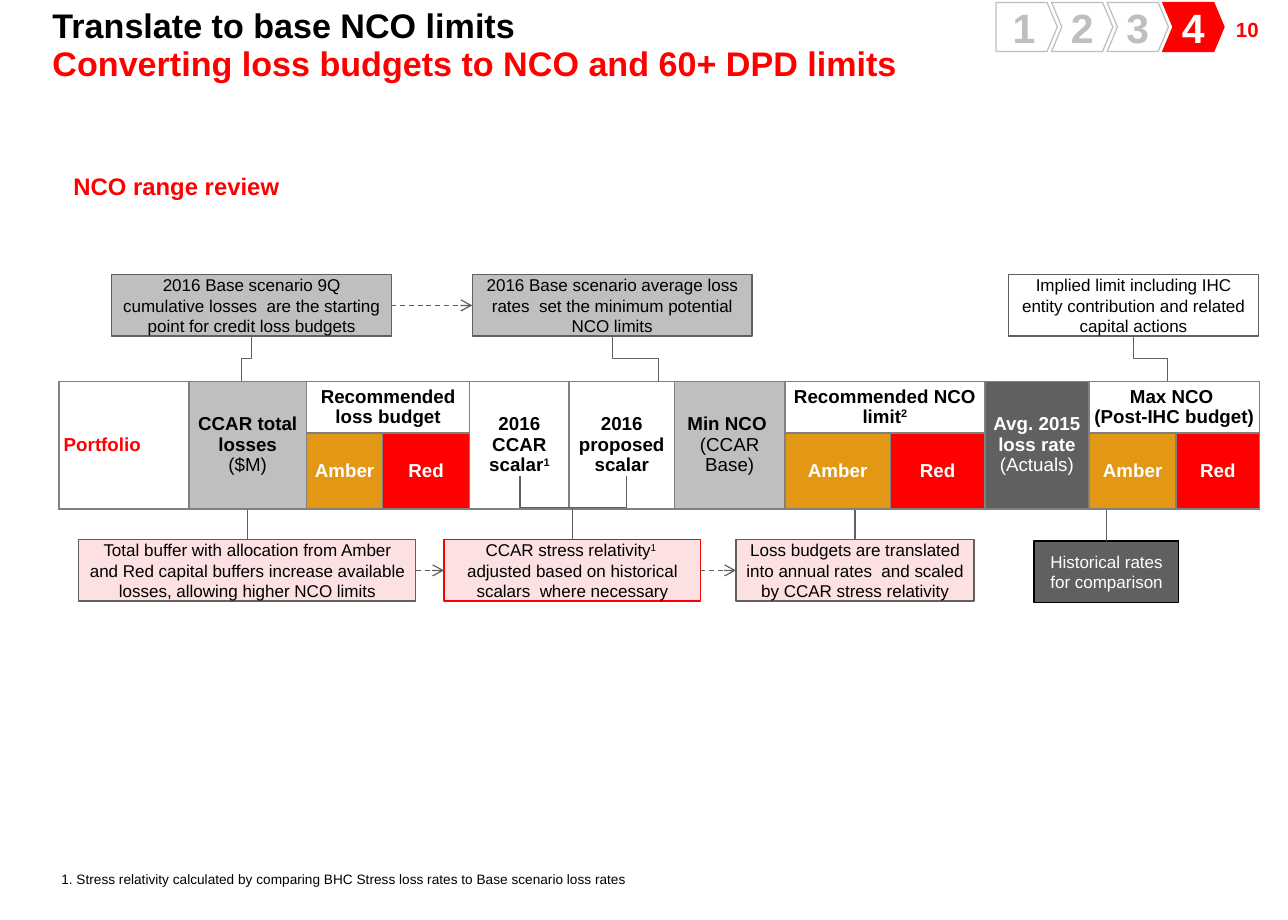
from lxml.etree import SubElement
from pptx import Presentation
from pptx.dml.color import RGBColor
from pptx.enum.dml import MSO_LINE
from pptx.enum.shapes import MSO_CONNECTOR, MSO_SHAPE
from pptx.enum.text import MSO_ANCHOR, PP_ALIGN
from pptx.oxml import parse_xml
from pptx.oxml.ns import nsdecls, qn
from pptx.util import Inches, Pt

SLIDE_W, SLIDE_H = Inches(10.5), Inches(7.5)
GRID_COLS, GRID_ROWS = 105, 75
RED, AMBER, PINK = "FF0000", "E29815", "FCE0E2"
BLACK, WHITE, SILVER, SLATE = "000000", "FFFFFF", "BFBFBF", "606060"
CENTER, LEFT, RIGHT = PP_ALIGN.CENTER, PP_ALIGN.LEFT, PP_ALIGN.RIGHT
SUP, PLAIN = {"sup": True}, {"bold": False}

TABLE_LEFT, TABLE_TOP = 4.8, 31.1
COLUMN_WIDTHS = [10.6, 9.6, 6.2, 7.1, 8.1, 8.6, 9, 8.6, 7.7, 8.5, 7.1, 6.8]
ROW_HEIGHTS = [4.2, 6.2]
# column, row span, column span, fill, text colour, paragraphs
HEADERS = [
    (0, 2, 1, None, RED, ["Portfolio"]),
    (1, 2, 1, SILVER, BLACK, ["CCAR total losses", [("($M)", PLAIN)]]),
    (2, 1, 2, WHITE, BLACK, ["Recommended loss budget"]),
    (4, 2, 1, WHITE, BLACK, [[("2016 CCAR scalar", {}), ("1", SUP)]]),
    (5, 2, 1, WHITE, BLACK, ["2016 proposed scalar"]),
    (6, 2, 1, SILVER, BLACK, ["Min NCO ", [("(CCAR Base)", PLAIN)]]),
    (7, 1, 2, WHITE, BLACK, [[("Recommended NCO limit", {}), ("2", SUP)]]),
    (9, 2, 1, SLATE, WHITE, [[("Avg. 2015 loss rate ", {}), ("(Actuals)", PLAIN)]]),
    (10, 1, 2, WHITE, BLACK, ["Max NCO ", "(Post-IHC budget)"]),
]

# box (left, top, width, height), fill, line, text colour, paragraph
CALLOUTS = {
    "losses": ((9.1, 22.4, 22.8, 5), SILVER, SLATE, BLACK,
               "2016 Base scenario 9Q cumulative losses  are the starting point for credit loss budgets"),
    "rates": ((38.5, 22.4, 22.8, 5), SILVER, SLATE, BLACK,
              "2016 Base scenario average loss rates  set the minimum potential NCO limits"),
    "implied": ((82.2, 22.4, 20.4, 5), WHITE, SLATE, BLACK,
                "Implied limit including IHC entity contribution and related capital actions"),
    "buffer": ((6.4, 44, 27.5, 5), PINK, SLATE, BLACK,
               "Total buffer with allocation from Amber and Red capital buffers increase "
               "available losses, allowing higher NCO limits"),
    "stress": ((36.2, 44, 20.9, 5), PINK, RED, BLACK,
               [("CCAR stress relativity", {}), ("1 ", SUP),
                (" adjusted based on historical scalars  where necessary", {})]),
    "budgets": ((60, 44, 19.4, 5), PINK, SLATE, BLACK,
                "Loss budgets are translated into annual rates  and scaled by CCAR stress relativity"),
    "historical": ((84.3, 44.1, 11.8, 5), SLATE, BLACK, WHITE,
                   "Historical rates for comparison"),
}
FLOWS = [("losses", "rates"), ("buffer", "stress"), ("stress", "budgets")]
DROPS_TO_TABLE = {"losses": 19.7, "rates": 53.7, "implied": 95.2}
RISES_BEHIND_TABLE = {"buffer": (31.2, 38.9), "budgets": (72.4, 38.8), "historical": (84.3, 38.1)}
SCALAR_COLUMNS = [42.4, 51.1]


def color(code):
    return RGBColor.from_string(code)


def x(columns):
    return round(SLIDE_W * columns / GRID_COLS)


def y(rows):
    return round(SLIDE_H * rows / GRID_ROWS)


def place(box):
    left, top, width, height = box
    return x(left), y(top), x(width), y(height)


def write(frame, paragraphs, size, ink, bold=False, align=CENTER, spacing=1.0):
    """Fill a text frame; a paragraph is a string or a list of (text, overrides)."""
    for index, content in enumerate(paragraphs):
        paragraph = frame.paragraphs[0] if index == 0 else frame.add_paragraph()
        for key, value in {"alignment": align, "line_spacing": spacing}.items():
            setattr(paragraph, key, value)
        for text, changes in [(content, {})] if isinstance(content, str) else content:
            run = paragraph.add_run()
            run.text = text
            look = {"name": "Arial", "size": Pt(size), "bold": changes.get("bold", bold)}
            for key, value in look.items():
                setattr(run.font, key, value)
            run.font.color.rgb = color(changes.get("ink", ink))
            if changes.get("sup"):
                run.font._element.set("baseline", "30000")


def set_margins(holder, horizontal, vertical):
    for side, gap in {"left": horizontal, "right": horizontal,
                      "top": vertical, "bottom": vertical}.items():
        setattr(holder, f"margin_{side}", Inches(gap))


def add_label(slide, box, paragraphs, size, ink, bold=True, align=LEFT,
              spacing=0.92, wrap=True, margins=(0.1, 0.05)):
    frame = slide.shapes.add_textbox(*place(box)).text_frame
    frame.word_wrap = wrap
    set_margins(frame, *margins)
    write(frame, paragraphs, size, ink, bold, align, spacing)


def add_box(slide, kind, box, fill, outline, margin, paragraph, size, ink, bold=False):
    shape = slide.shapes.add_shape(kind, *place(box))
    shape.shadow.inherit = False
    shape.fill.solid()
    shape.fill.fore_color.rgb = color(fill)
    shape.line.color.rgb = color(outline)
    shape.line.width = Pt(0.75)
    frame = shape.text_frame
    frame.word_wrap = True
    frame.vertical_anchor = MSO_ANCHOR.MIDDLE
    set_margins(frame, margin, margin)
    write(frame, [paragraph], size, ink, bold)
    return shape


def add_line(slide, kind, start, end):
    line = slide.shapes.add_connector(kind, x(start[0]), y(start[1]), x(end[0]), y(end[1]))
    line.line.color.rgb = color(SLATE)
    line.line.width = Pt(0.75)
    SubElement(line._element.spPr, qn("a:effectLst"))
    return line


def add_flow(slide, source, target):
    """Dashed arrow between two callouts of one row."""
    left, top, width, height = CALLOUTS[source][0]
    middle = top + height / 2
    arrow = add_line(slide, MSO_CONNECTOR.STRAIGHT, (left + width, middle),
                     (CALLOUTS[target][0][0], middle))
    arrow.line.dash_style = MSO_LINE.DASH
    SubElement(arrow.line._get_or_add_ln(), qn("a:tailEnd"), type="arrow")


def add_elbow(slide, start, end):
    """Elbow that leaves downwards: a turned connector around the same centre."""
    run, drop = end[0] - start[0], end[1] - start[1]
    center_x, center_y = (start[0] + end[0]) / 2, (start[1] + end[1]) / 2
    half_w, half_h = drop / 2, abs(run) / 2
    elbow = add_line(slide, MSO_CONNECTOR.ELBOW, (center_x - half_w, center_y - half_h),
                     (center_x + half_w, center_y + half_h))
    frame = elbow._element.spPr.find(qn("a:xfrm"))
    frame.set("rot", str((270 if run > 0 else 90) * 60000))
    if run > 0:
        frame.set("flipH", "1")


def top_center(name):
    left, top, width, _ = CALLOUTS[name][0]
    return left + width / 2, top


def style_cell(cell, fill):
    set_margins(cell, 0.04, 0.03)
    cell.vertical_anchor = MSO_ANCHOR.MIDDLE
    if fill:
        cell.fill.solid()
        cell.fill.fore_color.rgb = color(fill)
    else:
        cell.fill.background()
    for index, side in enumerate("LRTB"):
        cell._tc.get_or_add_tcPr().insert(index, parse_xml(
            f'<a:ln{side} {nsdecls("a")} w="12700"><a:solidFill>'
            f'<a:srgbClr val="808080"/></a:solidFill></a:ln{side}>'))


def add_limits_table(slide):
    box = (TABLE_LEFT, TABLE_TOP, sum(COLUMN_WIDTHS), sum(ROW_HEIGHTS))
    table = slide.shapes.add_table(2, len(COLUMN_WIDTHS), *place(box)).table
    table.first_row = table.horz_banding = False
    for column, width in zip(table.columns, COLUMN_WIDTHS):
        column.width = x(width)
    for row, height in zip(table.rows, ROW_HEIGHTS):
        row.height = y(height)
    for column, tall, wide, fill, ink, paragraphs in HEADERS:
        header = table.cell(0, column)
        header.merge(table.cell(tall - 1, column + wide - 1))
        for row in range(tall):
            for offset in range(wide):
                style_cell(table.cell(row, column + offset), fill)
        write(header.text_frame, paragraphs, 11, ink, True, CENTER if column else LEFT, 0.98)
        if wide == 2:
            for offset, (level, shade) in enumerate([("Amber", AMBER), ("Red", RED)]):
                limit = table.cell(1, column + offset)
                style_cell(limit, shade)
                write(limit.text_frame, [level], 11, WHITE, True)


def add_step_tracker(slide, current=4):
    for step in range(1, 5):
        active = step == current
        kind = MSO_SHAPE.PENTAGON if step == 1 else MSO_SHAPE.CHEVRON
        marker = add_box(slide, kind, (81.2 + 4.53 * (step - 1), 0.2, 5, 4),
                         RED if active else WHITE, RED if active else SILVER, 0,
                         str(step), 24, WHITE if active else SILVER, True)
        marker.adjustments[0] = 0.21


def main():
    deck = Presentation()
    deck.slide_width, deck.slide_height = SLIDE_W, SLIDE_H
    slide = deck.slides.add_slide(deck.slide_layouts[6])

    add_label(slide, (93.6, 1.1, 10, 2.4), ["10"], 12, RED, align=RIGHT)
    add_label(slide, (3.3, 0.2, 97.6, 6.8),
              ["Translate to base NCO limits",
               [("Converting loss budgets to NCO and 60+ DPD limits", {"ink": RED})]], 20, BLACK)
    add_label(slide, (5, 13.7, 48.4, 3), ["NCO range review"], 14, RED)
    add_label(slide, (5, 71, 46.6, 1.3),
              ["1. Stress relativity calculated by comparing BHC Stress loss rates "
               "to Base scenario loss rates"],
              8, BLACK, bold=False, spacing=1.0, wrap=False, margins=(0, 0))
    add_step_tracker(slide)

    for box, fill, outline, ink, paragraph in CALLOUTS.values():
        add_box(slide, MSO_SHAPE.FLOWCHART_PROCESS, box, fill, outline, 0.08, paragraph, 10, ink)
    for source, target in FLOWS:
        add_flow(slide, source, target)
    for name, column in DROPS_TO_TABLE.items():
        middle, top = top_center(name)
        add_elbow(slide, (middle, top + CALLOUTS[name][0][3]), (column, TABLE_TOP))
    for name, start in RISES_BEHIND_TABLE.items():
        add_elbow(slide, start, top_center(name))
    add_limits_table(slide)
    for column in SCALAR_COLUMNS:
        add_elbow(slide, (column, 38.8), top_center("stress"))

    deck.save("out.pptx")


if __name__ == "__main__":
    main()
